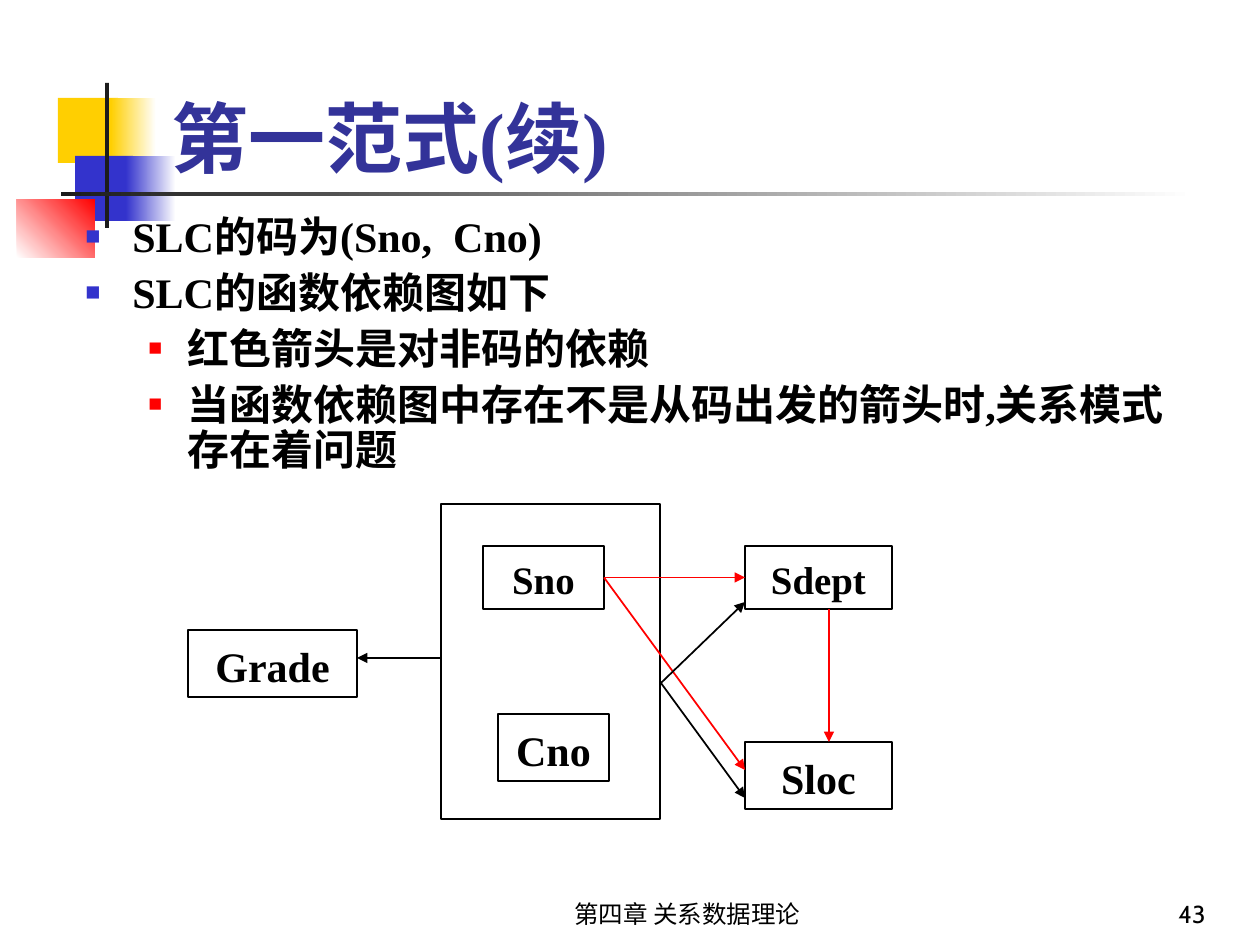
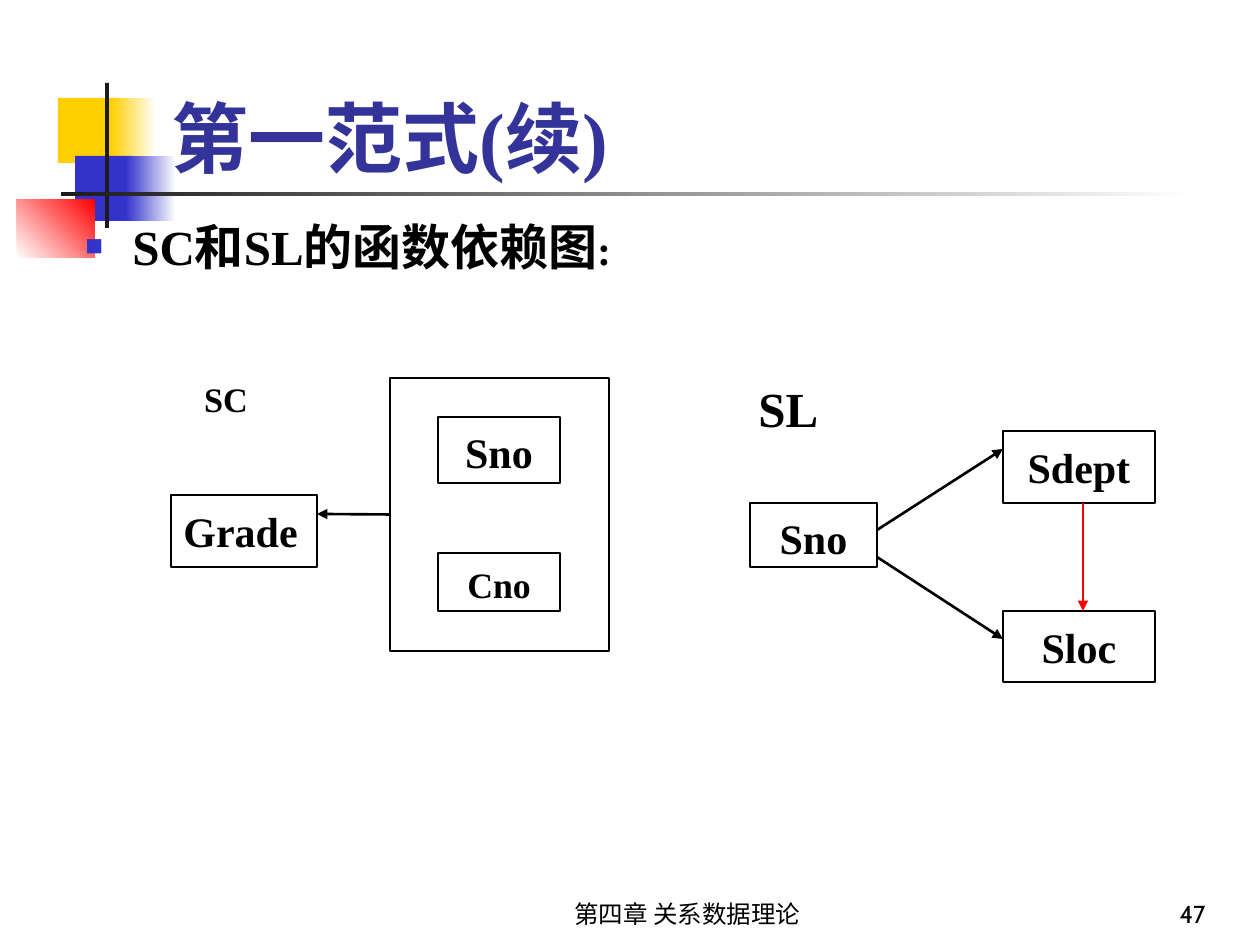
from lxml.etree import SubElement
from pptx import Presentation
from pptx.dml.color import RGBColor
from pptx.enum.shapes import MSO_CONNECTOR, MSO_SHAPE
from pptx.enum.text import MSO_ANCHOR, PP_ALIGN
from pptx.oxml.ns import qn
from pptx.util import Pt

PX = 914400 / 126
SLIDE_SIZE = (1260, 945)

BLACK = RGBColor(0x00, 0x00, 0x00)
WHITE = RGBColor(0xFF, 0xFF, 0xFF)
RED = RGBColor(0xFF, 0x00, 0x00)
YELLOW = RGBColor(0xFF, 0xCF, 0x01)
BLUE = RGBColor(0x33, 0x33, 0xCC)
TITLE_BLUE = RGBColor(0x33, 0x33, 0x99)
CHARCOAL = RGBColor(0x1C, 0x1C, 0x1C)

SERIF = "Times New Roman"
SANS = "Cabin"
TOP, LEFT, BOTTOM, RIGHT = range(4)

TITLE = "第一范式(续)"
FOOTER = "第四章 关系数据理论"
TITLE_BOX = (159, 31, 1060, 158)
FOOTER_BOX = (462, 872, 451, 63)
NUMBER_BOX = (945, 872, 273, 63)

BANDS = [
    ((58, 98, 60, 65), [YELLOW], 0),
    ((111, 98, 45, 65), [YELLOW, WHITE], 0),
    ((75, 156, 58, 65), [BLUE], 0),
    ((126, 156, 50, 65), [BLUE, WHITE], 0),
    ((17, 199, 78, 59), [WHITE, RED], 45),
    ((105, 83, 4, 145), [CHARCOAL], 0),
    ((61, 192, 1134, 4), [CHARCOAL, WHITE], 0),
]

BULLET_LEVELS = [
    {"margin": 47, "hang": 47, "color": BLUE, "percent": 60},
    {"margin": 102, "hang": 39, "color": RED, "percent": 55},
]

SLIDES = [
    {
        "number": "43",
        "body_box": (73, 210, 1144, 294),
        "line_spacing": 0.9,
        "bullets": [
            (0, [("SLC的码为(Sno,  Cno)", 24)]),
            (0, [("SLC的函数依赖图如下", 24)]),
            (1, [("红色箭头是对非码的依赖", 24)]),
            (1, [("当函数依赖图中存在不是从码出发的箭头时,关系模式存在着问题", 24)]),
        ],
        "line_width": 1,
        "nodes": {
            "key": ((441, 504, 219, 315), "", 24, PP_ALIGN.CENTER),
            "sno": ((483, 546, 121, 63), "Sno", 22.2, PP_ALIGN.CENTER),
            "cno": ((498, 714, 111, 67), "Cno", 24, PP_ALIGN.CENTER),
            "grade": ((188, 630, 169, 67), "Grade", 24, PP_ALIGN.CENTER),
            "sdept": ((745, 546, 147, 63), "Sdept", 22.2, PP_ALIGN.CENTER),
            "sloc": ((745, 742, 147, 67), "Sloc", 24, PP_ALIGN.CENTER),
        },
        "labels": [],
        "arrows": [
            ((441, 658), (357, 658), BLACK),
            (("sno", RIGHT), ("sdept", LEFT), RED),
            (("sno", RIGHT), (745, 770), RED),
            ((661, 683), (745, 602), BLACK),
            ((661, 683), (745, 798), BLACK),
            ((829, 609), (829, 742), RED),
        ],
    },
    {
        "number": "47",
        "body_box": (73, 210, 1144, 105),
        "line_spacing": 1.0,
        "bullets": [(0, [("SC和SL的函数依赖图", 28), (":", 24)])],
        "line_width": 1.5,
        "nodes": {
            "key": ((390, 378, 219, 273), "", 24, PP_ALIGN.CENTER),
            "sc_sno": ((438, 417, 122, 66), "Sno", 24, PP_ALIGN.CENTER),
            "cno": ((438, 553, 122, 58), "Cno", 20.4, PP_ALIGN.CENTER),
            "grade": ((171, 495, 146, 72), "Grade", 24, PP_ALIGN.JUSTIFY),
            "sl_sno": ((750, 503, 127, 64), "Sno", 24, PP_ALIGN.CENTER),
            "sdept": ((1003, 431, 152, 72), "Sdept", 24, PP_ALIGN.CENTER),
            "sloc": ((1003, 611, 152, 71), "Sloc", 24, PP_ALIGN.CENTER),
        },
        "labels": [
            ((168, 368, 116, 58), "SC", 19.6, PP_ALIGN.CENTER),
            ((746, 368, 105, 82), "SL", 28, PP_ALIGN.JUSTIFY),
        ],
        "arrows": [
            (("key", LEFT), (317, 514), BLACK),
            ((877, 530), (1003, 449), BLACK),
            ((877, 557), (1003, 639), BLACK),
            ((1083, 503), (1083, 611), RED),
        ],
    },
]


def emu(*lengths):
    return [round(length * PX) for length in lengths]


def format_font(font, size, color, name=SERIF, bold=True):
    font.size, font.name, font.bold = Pt(size), name, bold
    font.color.rgb = color


def set_text(shape, text, size, align, color=BLACK, name=SERIF, bold=True,
             anchor=MSO_ANCHOR.TOP, margin_top=6):
    frame = shape.text_frame
    frame.word_wrap = True
    frame.vertical_anchor = anchor
    frame.margin_top = emu(margin_top)[0]
    frame.text = text
    paragraph = frame.paragraphs[0]
    paragraph.alignment = align
    for run in paragraph.runs:
        format_font(run.font, size, color, name, bold)


def add_rectangle(slide, box):
    shape = slide.shapes.add_shape(MSO_SHAPE.RECTANGLE, *emu(*box))
    shape.shadow.inherit = False
    return shape


def add_band(slide, box, colors, angle):
    band = add_rectangle(slide, box)
    band.line.fill.background()
    if len(colors) == 1:
        band.fill.solid()
        band.fill.fore_color.rgb = colors[0]
    else:
        band.fill.gradient()
        band.fill.gradient_angle = angle
        for stop, color in zip(band.fill.gradient_stops, colors):
            stop.color.rgb = color


def add_label(slide, box, *text_format, **options):
    set_text(slide.shapes.add_textbox(*emu(*box)), *text_format, **options)


def add_node(slide, line_width, box, text, size, align):
    node = add_rectangle(slide, box)
    node.fill.background()
    node.line.color.rgb = BLACK
    node.line.width = Pt(line_width)
    if text:
        set_text(node, text, size, align, margin_top=10)
    return node


def add_bullet(paragraph, margin, hang, color, percent):
    properties = paragraph._p.get_or_add_pPr()
    properties.set("marL", str(emu(margin)[0]))
    properties.set("indent", str(emu(-hang)[0]))
    bullet_color = SubElement(properties, qn("a:buClr"))
    SubElement(bullet_color, qn("a:srgbClr"), val=str(color))
    SubElement(properties, qn("a:buSzPct"), val=str(percent * 1000))
    SubElement(properties, qn("a:buFont"), typeface=SERIF)
    SubElement(properties, qn("a:buChar"), char="■")


def add_body(slide, box, bullets, line_spacing):
    frame = slide.shapes.add_textbox(*emu(*box)).text_frame
    frame.word_wrap = True
    for index, (level, runs) in enumerate(bullets):
        paragraph = frame.add_paragraph() if index else frame.paragraphs[0]
        paragraph.level = level
        add_bullet(paragraph, **BULLET_LEVELS[level])
        paragraph.line_spacing = line_spacing
        if index:
            paragraph.space_before = Pt(6)
        for text, size in runs:
            run = paragraph.add_run()
            run.text = text
            format_font(run.font, size, BLACK)


def add_arrow(slide, nodes, start, end, color, line_width):
    points = [(0, 0) if end_point[0] in nodes else end_point for end_point in (start, end)]
    arrow = slide.shapes.add_connector(
        MSO_CONNECTOR.STRAIGHT, *emu(*points[0], *points[1]))
    for end_point, connect in ((start, arrow.begin_connect), (end, arrow.end_connect)):
        if end_point[0] in nodes:
            connect(nodes[end_point[0]], end_point[1])
    arrow.line.color.rgb = color
    arrow.line.width = Pt(line_width)
    SubElement(arrow.line._get_or_add_ln(), qn("a:tailEnd"), type="triangle")
    SubElement(arrow._element.spPr, qn("a:effectLst"))


def add_frame(slide, number):
    for band in BANDS:
        add_band(slide, *band)
    add_label(slide, TITLE_BOX, TITLE, 44, PP_ALIGN.LEFT,
              color=TITLE_BLUE, anchor=MSO_ANCHOR.BOTTOM)
    for box, text, align in ((FOOTER_BOX, FOOTER, PP_ALIGN.CENTER),
                             (NUMBER_BOX, number, PP_ALIGN.RIGHT)):
        add_label(slide, box, text, 14, align, name=SANS, bold=False,
                  anchor=MSO_ANCHOR.BOTTOM)


def build_slide(presentation, content):
    slide = presentation.slides.add_slide(presentation.slide_layouts[6])
    add_frame(slide, content["number"])
    add_body(slide, content["body_box"], content["bullets"], content["line_spacing"])
    width = content["line_width"]
    nodes = {name: add_node(slide, width, *node)
             for name, node in content["nodes"].items()}
    for label in content["labels"]:
        add_label(slide, *label, margin_top=10)
    for arrow in content["arrows"]:
        add_arrow(slide, nodes, *arrow, width)


def main():
    presentation = Presentation()
    presentation.slide_width, presentation.slide_height = emu(*SLIDE_SIZE)
    for content in SLIDES:
        build_slide(presentation, content)
    presentation.save("out.pptx")


if __name__ == "__main__":
    main()
